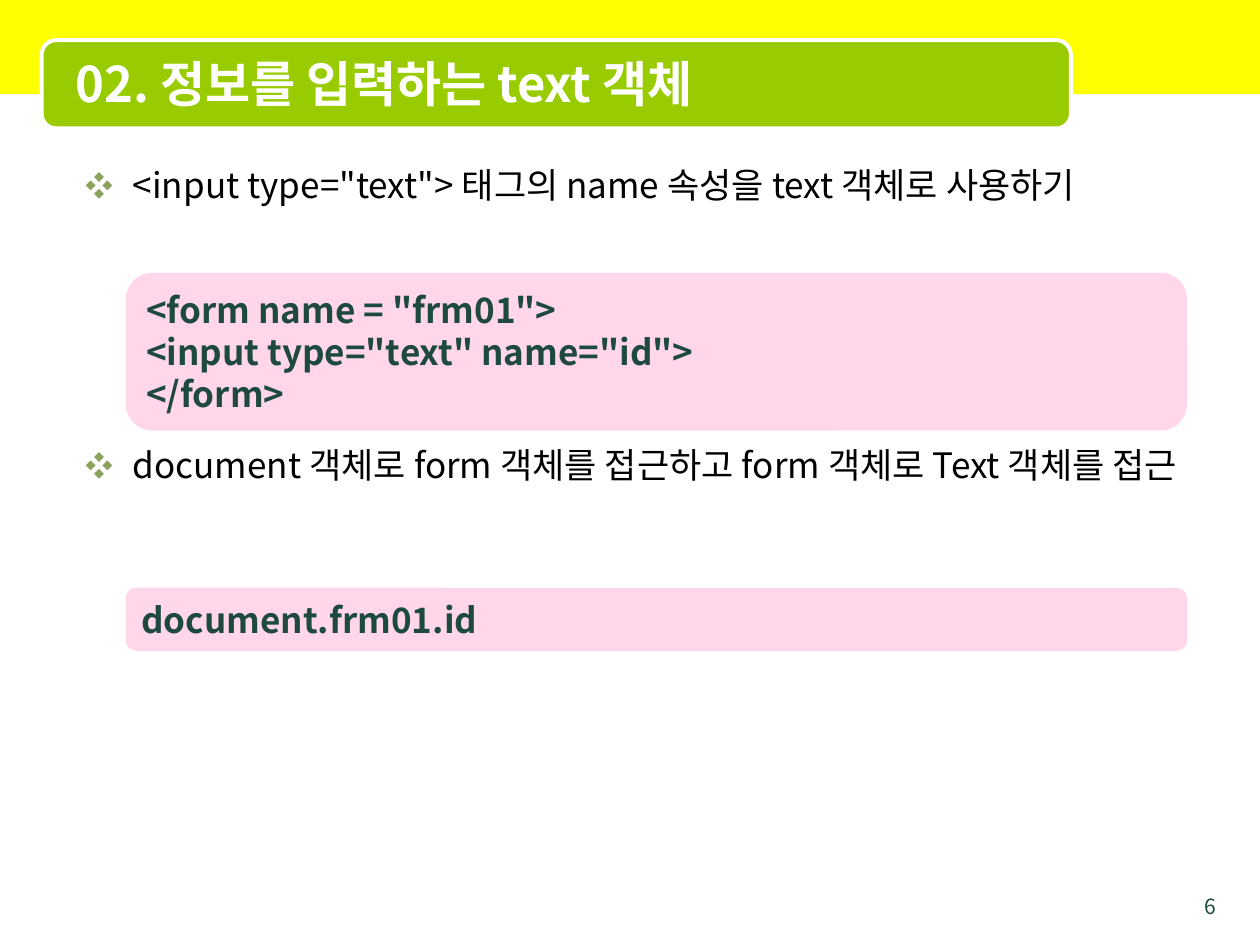
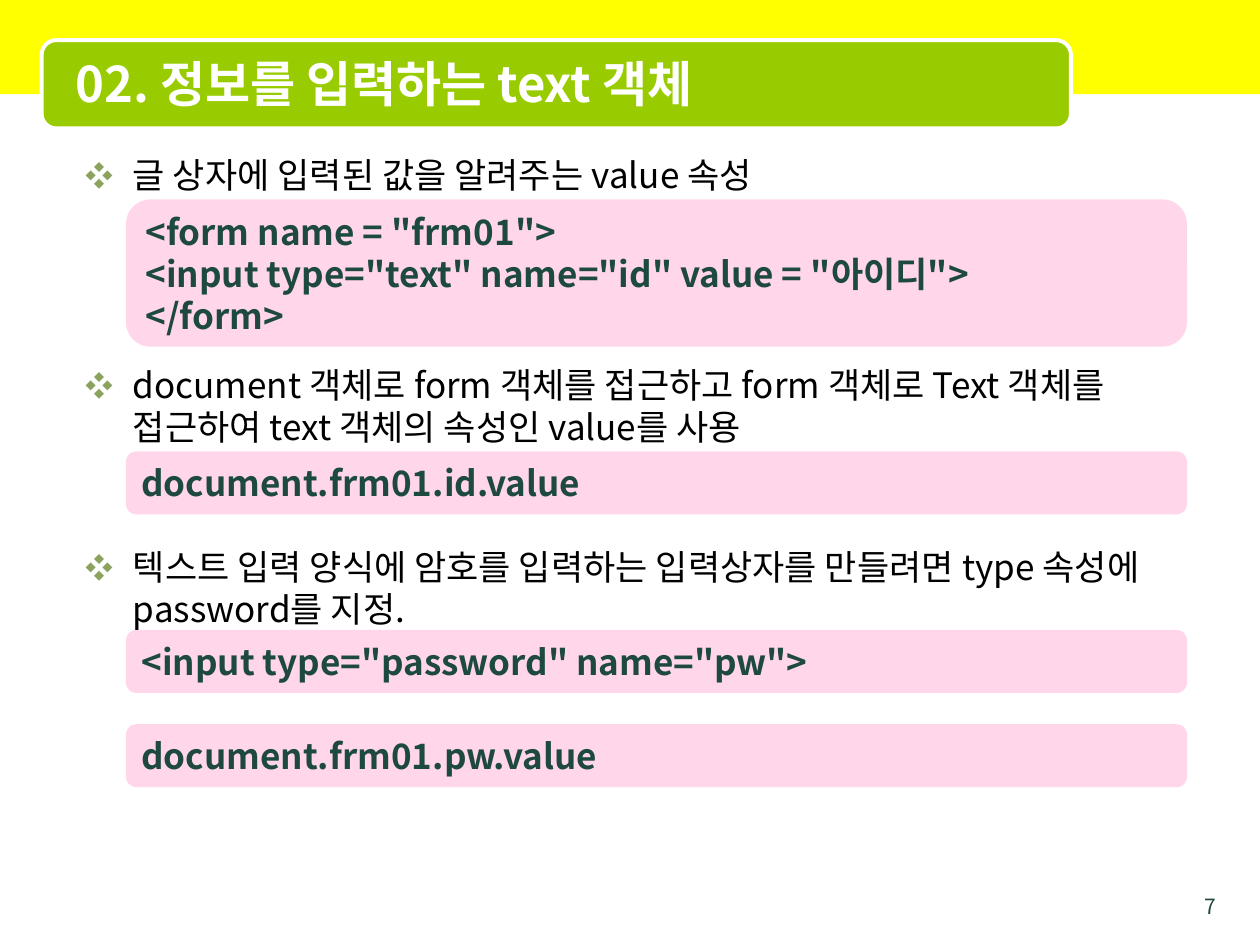
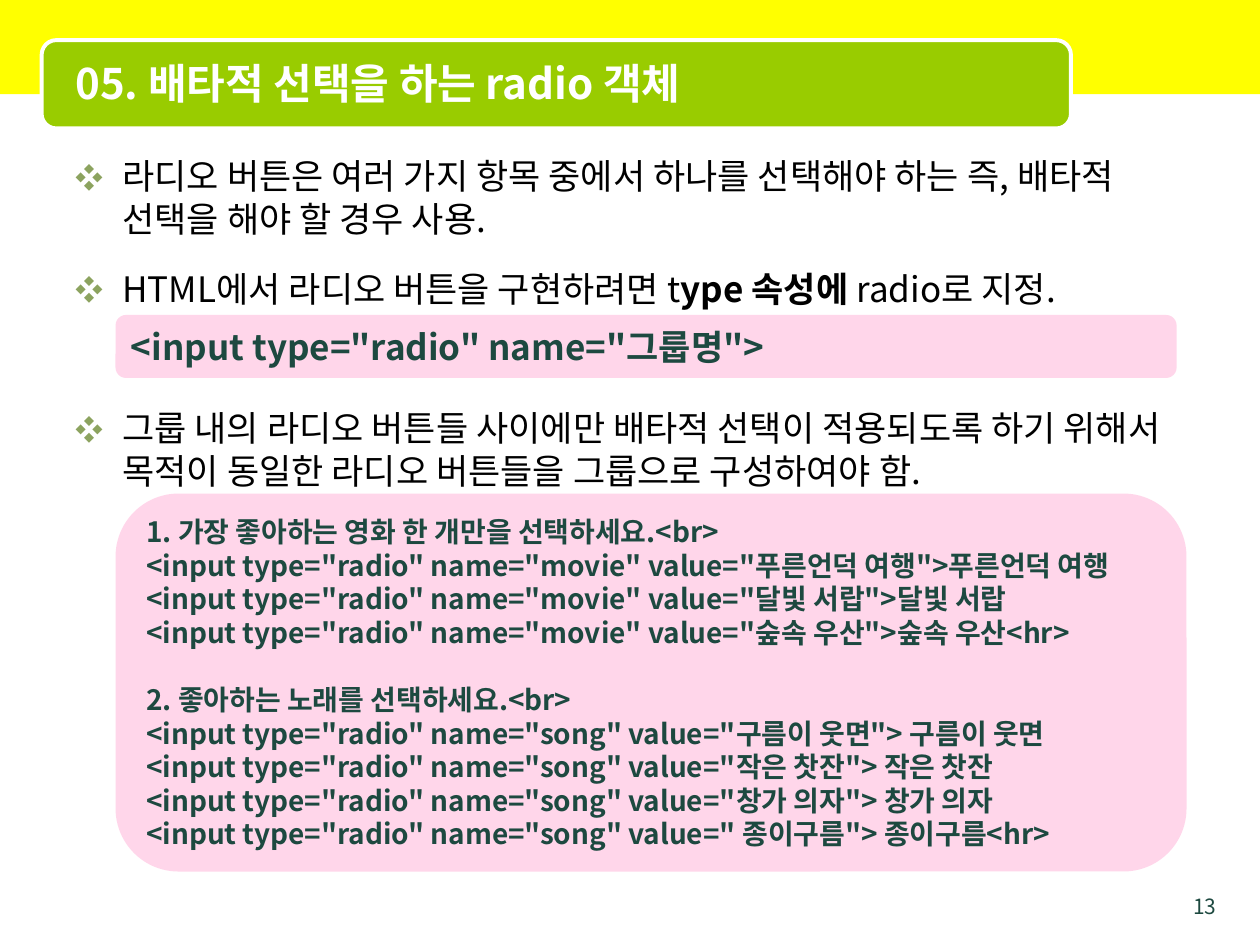
from lxml import etree
from pptx import Presentation
from pptx.dml.color import RGBColor
from pptx.enum.shapes import MSO_SHAPE
from pptx.enum.text import MSO_ANCHOR, PP_ALIGN
from pptx.oxml.ns import qn
from pptx.util import Cm, Pt

RECTANGLE = MSO_SHAPE.RECTANGLE
ROUNDED = MSO_SHAPE.ROUNDED_RECTANGLE
MIDDLE, TOP = MSO_ANCHOR.MIDDLE, MSO_ANCHOR.TOP
LEFT, RIGHT = PP_ALIGN.LEFT, PP_ALIGN.RIGHT

FONT = "Noto Sans CJK KR"
COLORS = {
    "band": "FFFF00", "header": "99CC00", "white": "FFFFFF", "body": "000000",
    "code": "1D4940", "code_fill": "FF99CC", "bullet": "8CA35F",
}
CODE_OPACITY = 40
BODY_SIZE = 20
LINE_FACTOR = 1.2
PARAGRAPH_GAP = 8
BULLET_INDENT = Cm(0.95)
BULLET_PERCENT = 80
CODE_WIDTH, CODE_HEIGHT = 21.39, 1.27

# Content: each bullet is (rows left free above it, runs), every second run bold.
# Each code box is (top, height, text size, lines); an empty line is a gap.
SLIDES = [
    {
        "number": "6", "title": "02. 정보를 입력하는 text 객체", "title_size": 28,
        "body_at": (1.48, 3.18), "code_left": 2.54,
        "bullets": [
            (0, ['<input type="text"> 태그의 name 속성을 text 객체로 사용하기']),
            (3, ["document 객체로 form 객체를 접근하고 form 객체로 Text 객체를 접근"]),
        ],
        "codes": [
            (5.5, 3.18, 20, ['<form name = "frm01">',
                             '<input type="text" name="id">',
                             "</form>"]),
            (11.85, CODE_HEIGHT, 20, ["document.frm01.id"]),
        ],
    },
    {
        "number": "7", "title": "02. 정보를 입력하는 text 객체", "title_size": 28,
        "body_at": (1.48, 2.97), "code_left": 2.54,
        "bullets": [
            (0, ["글 상자에 입력된 값을 알려주는 value 속성"]),
            (2, ["document 객체로 form 객체를 접근하고 form 객체로 Text 객체를 "
                 "접근하여 text 객체의 속성인 value를 사용"]),
            (1, ["텍스트 입력 양식에 암호를 입력하는 입력상자를 만들려면 type 속성에 "
                 "password를 지정."]),
        ],
        "codes": [
            (4.02, 2.97, 20, ['<form name = "frm01">',
                              '<input type="text" name="id" value = "아이디">',
                              "</form>"]),
            (9.1, CODE_HEIGHT, 20, ["document.frm01.id.value"]),
            (12.7, CODE_HEIGHT, 20, ['<input type="password" name="pw">']),
            (14.6, CODE_HEIGHT, 20, ["document.frm01.pw.value"]),
        ],
    },
    {
        "number": "13", "title": "05. 배타적 선택을 하는 radio 객체", "title_size": 24,
        "body_at": (1.27, 3), "code_left": 2.33,
        "bullets": [
            (0, ["라디오 버튼은 여러 가지 항목 중에서 하나를 선택해야 하는 즉, 배타적 "
                 "선택을 해야 할 경우 사용."]),
            (0, ["HTML에서 라디오 버튼을 구현하려면 t", "ype 속성에 ", "radio로 지정."]),
            (1, ["그룹 내의 라디오 버튼들 사이에만 배타적 선택이 적용되도록 하기 위해서 "
                 "목적이 동일한 라디오 버튼들을 그룹으로 구성하여야 함."]),
        ],
        "codes": [
            (6.35, CODE_HEIGHT, 20, ['<input type="radio" name="그룹명">']),
            (9.95, 7.62, 16, [
                "1. 가장 좋아하는 영화 한 개만을 선택하세요.<br>",
                '<input type="radio" name="movie" value="푸른언덕 여행">푸른언덕 여행',
                '<input type="radio" name="movie" value="달빛 서랍">달빛 서랍',
                '<input type="radio" name="movie" value="숲속 우산">숲속 우산<hr>',
                "",
                "2. 좋아하는 노래를 선택하세요.<br>",
                '<input type="radio" name="song" value="구름이 웃면"> 구름이 웃면',
                '<input type="radio" name="song" value="작은 찻잔"> 작은 찻잔',
                '<input type="radio" name="song" value="창가 의자"> 창가 의자',
                '<input type="radio" name="song" value=" 종이구름"> 종이구름<hr>',
            ]),
        ],
    },
]


def color(name):
    return RGBColor.from_string(COLORS[name])


def add_box(slide, kind, left, top, width, height, fill):
    shape = slide.shapes.add_shape(kind, Cm(left), Cm(top), Cm(width), Cm(height))
    shape.shadow.inherit = False
    shape.fill.solid()
    shape.fill.fore_color.rgb = color(fill)
    shape.line.fill.background()
    return shape


def add_text_frame(slide, left, top, width, height, anchor=TOP):
    box = slide.shapes.add_textbox(Cm(left), Cm(top), Cm(width), Cm(height))
    box.text_frame.word_wrap = True
    box.text_frame.vertical_anchor = anchor
    return box.text_frame


def next_paragraph(text_frame, index):
    return text_frame.add_paragraph() if index else text_frame.paragraphs[0]


def format_paragraph(paragraph, size, color_name, bold=False, align=LEFT):
    paragraph.alignment = align
    paragraph.line_spacing = Pt(size * LINE_FACTOR)
    for run in paragraph.runs:
        run.font.name = FONT
        run.font.size = Pt(size)
        run.font.bold = bold
        run.font.color.rgb = color(color_name)
        east_asian = etree.SubElement(run.font._element, qn("a:ea"))
        east_asian.set("typeface", FONT)


def add_bullet_mark(paragraph):
    properties = paragraph._p.get_or_add_pPr()
    properties.set("marL", str(BULLET_INDENT))
    properties.set("indent", str(-BULLET_INDENT))
    mark_color = etree.SubElement(properties, qn("a:buClr"))
    etree.SubElement(mark_color, qn("a:srgbClr")).set("val", COLORS["bullet"])
    mark_size = etree.SubElement(properties, qn("a:buSzPct"))
    mark_size.set("val", str(BULLET_PERCENT * 1000))
    etree.SubElement(properties, qn("a:buFont")).set("typeface", FONT)
    etree.SubElement(properties, qn("a:buChar")).set("char", "❖")


def add_frame(slide, content):
    # Yellow band, green header with the title, page number
    add_box(slide, RECTANGLE, 0, 0, 25.4, 1.9, "band")
    header = add_box(slide, ROUNDED, 0.84, 0.81, 20.75, 1.78, "header")
    header.line.color.rgb = color("white")
    header.line.width = Pt(2.25)

    number = add_text_frame(slide, 23.5, 17.88, 1.27, 0.53)
    number.text = content["number"]
    format_paragraph(number.paragraphs[0], 12, "code", align=RIGHT)

    title = add_text_frame(slide, 1.27, 0.89, 20.12, 1.57, MIDDLE)
    title.text = content["title"]
    format_paragraph(title.paragraphs[0], content["title_size"], "white", bold=True)


def add_bullets(slide, content):
    text_frame = add_text_frame(slide, *content["body_at"], 22.86, 13.55)
    row = BODY_SIZE * LINE_FACTOR + 2 * PARAGRAPH_GAP
    for index, (free_rows, texts) in enumerate(content["bullets"]):
        paragraph = next_paragraph(text_frame, index)
        for text in texts:
            paragraph.add_run().text = text
        format_paragraph(paragraph, BODY_SIZE, "body")
        for run in paragraph.runs[1::2]:
            run.font.bold = True
        paragraph.space_before = Pt(PARAGRAPH_GAP + free_rows * row)
        paragraph.space_after = Pt(PARAGRAPH_GAP)
        add_bullet_mark(paragraph)


def add_code(slide, left, top, height, size, lines):
    width = CODE_WIDTH if height < 5 else CODE_WIDTH + 0.2
    shape = add_box(slide, ROUNDED, left, top, width, height, "code_fill")
    fill_color = shape._element.spPr.find(qn("a:solidFill"))[0]
    etree.SubElement(fill_color, qn("a:alpha")).set("val", str(CODE_OPACITY * 1000))
    text_frame = shape.text_frame
    text_frame.word_wrap = True
    text_frame.vertical_anchor = MIDDLE
    gap_above = False
    for index, line in enumerate(lines):
        if line:
            paragraph = next_paragraph(text_frame, index)
            paragraph.text = line
            format_paragraph(paragraph, size, "code", bold=True)
            if gap_above:
                paragraph.space_before = Pt(size * LINE_FACTOR)
        gap_above = not line


def main():
    presentation = Presentation()
    presentation.slide_width, presentation.slide_height = Cm(25.4), Cm(19.05)
    blank_layout = presentation.slide_layouts[6]
    for content in SLIDES:
        slide = presentation.slides.add_slide(blank_layout)
        add_frame(slide, content)
        add_bullets(slide, content)
        for code in content["codes"]:
            add_code(slide, content["code_left"], *code)
    presentation.save("out.pptx")


if __name__ == "__main__":
    main()
